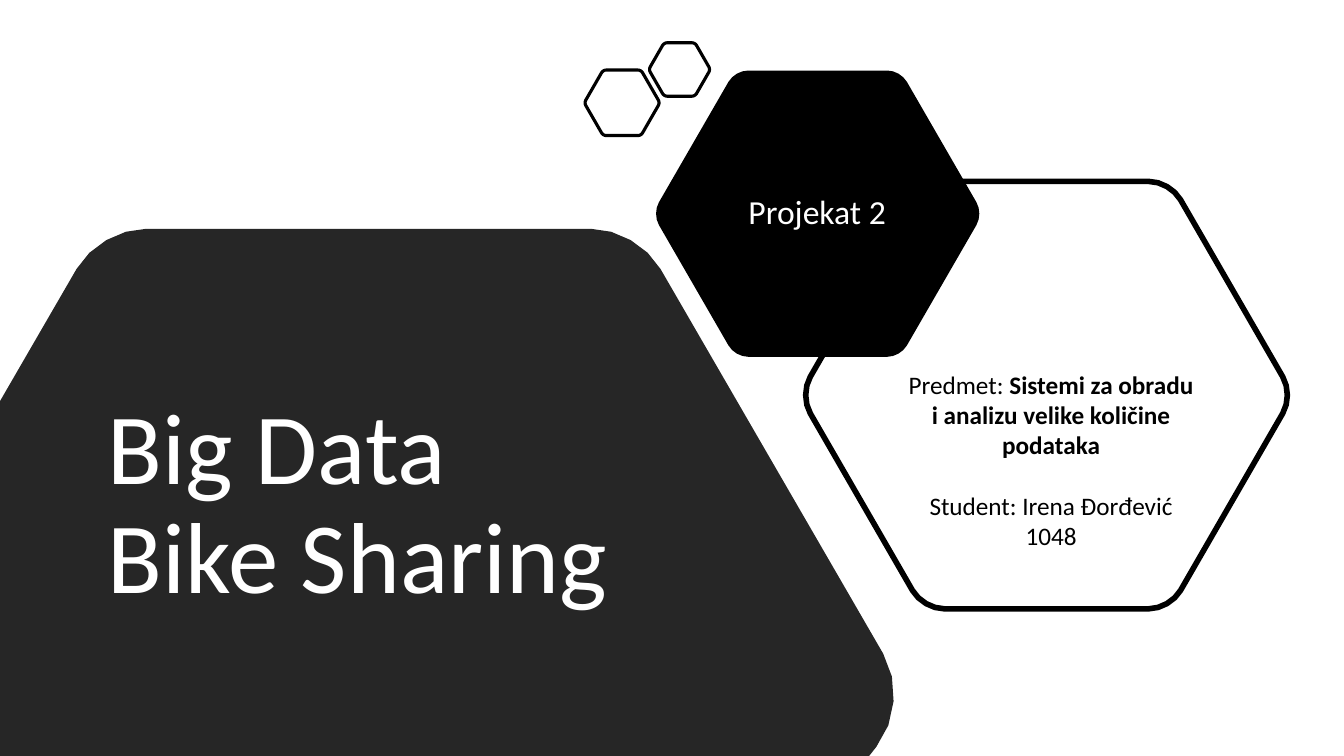
from dataclasses import dataclass
from math import cos, pi, sin, sqrt
from typing import Optional

from pptx import Presentation
from pptx.dml.color import RGBColor
from pptx.enum.text import MSO_ANCHOR as Anchor, PP_ALIGN as Align
from pptx.slide import Slide
from pptx.util import Inches, Pt

BLACK = RGBColor(0x00, 0x00, 0x00)
CHARCOAL = RGBColor(0x26, 0x26, 0x26)
WHITE = RGBColor(0xFF, 0xFF, 0xFF)
FONT = "Calibri"
CURVE_STEPS = 4
CURVE_TENSION = 0.58  # how far the curve handles reach towards the sharp corner


@dataclass(frozen=True)
class Corner:
    x: float
    y: float
    trim: float = 0  # length cut from both edges to round the corner


@dataclass(frozen=True)
class Hexagon:
    center_x: float
    center_y: float
    height: float
    trim: float
    fill: Optional[RGBColor] = None
    line_width: float = 0

    def corners(self) -> list[Corner]:
        side = self.height / sqrt(3)
        return [Corner(self.center_x + side * cos(turn * pi / 3),
                       self.center_y + side * sin(turn * pi / 3), self.trim)
                for turn in range(6)]


@dataclass(frozen=True)
class Span:
    text: str
    bold: bool = False


DETAILS_HEXAGON = Hexagon(10.38, 3.92, 4.24, 0.21, line_width=4)
SUBTITLE_HEXAGON = Hexagon(8.11, 2.12, 2.84, 0.13, fill=BLACK)
SMALL_HEXAGONS = [
    Hexagon(6.17, 1.02, 0.65, 0.03, line_width=2.25),
    Hexagon(6.74, 0.69, 0.53, 0.03, line_width=2.25),
]
TITLE_PANEL = [
    Corner(0, 7.5), Corner(0, 3.98), Corner(0.99, 2.27, 0.46),
    Corner(6.32, 2.27, 0.46), Corner(9.04, 6.97, 0.56), Corner(8.62, 7.5),
]


def towards(start: Corner, end: Corner, length: float) -> Corner:
    """Return the point at a given length from start on the way to end."""
    distance = sqrt((end.x - start.x) ** 2 + (end.y - start.y) ** 2)
    share = length / distance
    return Corner(start.x + (end.x - start.x) * share,
                  start.y + (end.y - start.y) * share)


def rounded_outline(corners: list[Corner]) -> list[tuple[int, int]]:
    """Replace each trimmed corner by points on a cubic curve."""
    points = []
    for index, corner in enumerate(corners):
        if not corner.trim:
            points.append((Inches(corner.x), Inches(corner.y)))
            continue
        neighbours = corners[index - 1], corners[(index + 1) % len(corners)]
        handle = corner.trim * (1 - CURVE_TENSION)
        before, after = (towards(corner, other, corner.trim) for other in neighbours)
        leave, arrive = (towards(corner, other, handle) for other in neighbours)
        for step in range(CURVE_STEPS + 1):
            t = step / CURVE_STEPS
            weights = (1 - t) ** 3, 3 * t * (1 - t) ** 2, 3 * t * t * (1 - t), t ** 3
            curve = list(zip(weights, (before, leave, arrive, after)))
            points.append((Inches(sum(weight * point.x for weight, point in curve)),
                           Inches(sum(weight * point.y for weight, point in curve))))
    return points


def add_outline(page: Slide, corners: list[Corner],
                fill: Optional[RGBColor] = None, line_width: float = 0) -> None:
    first, *others = rounded_outline(corners)
    builder = page.shapes.build_freeform(*first)
    builder.add_line_segments(others, close=True)
    shape = builder.convert_to_shape()
    shape.shadow.inherit = False
    if fill is None:
        shape.fill.background()
    else:
        shape.fill.solid()
        shape.fill.fore_color.rgb = fill
    if line_width:
        shape.line.color.rgb = BLACK
        shape.line.width = Pt(line_width)
    else:
        shape.line.fill.background()


def add_hexagon(page: Slide, hexagon: Hexagon) -> None:
    add_outline(page, hexagon.corners(), hexagon.fill, hexagon.line_width)


def add_text(page: Slide, paragraphs: list[list[Span]], *,
             left: float, top: float, width: float, height: float,
             size: float, color: RGBColor, align: Align = Align.LEFT,
             anchor: Anchor = Anchor.MIDDLE, line_spacing: float = 1.0,
             gap: float = 0) -> None:
    """Add a text box; a newline in a span becomes a line break."""
    box = page.shapes.add_textbox(Inches(left), Inches(top), Inches(width), Inches(height))
    frame = box.text_frame
    frame.word_wrap = True
    frame.vertical_anchor = anchor
    for index, spans in enumerate(paragraphs):
        para = frame.add_paragraph() if index else frame.paragraphs[0]
        para.alignment = align
        para.line_spacing = line_spacing
        para.space_before = Pt(gap if index else 0)
        for span in spans:
            for number, text in enumerate(span.text.split("\n")):
                if number:
                    para.add_line_break()
                run = para.add_run()
                run.text = text
                run.font.name = FONT
                run.font.size = Pt(size)
                run.font.bold = span.bold
                run.font.color.rgb = color


def main() -> None:
    deck = Presentation()
    deck.slide_width, deck.slide_height = Inches(13.33), Inches(7.5)
    page = deck.slides.add_slide(deck.slide_layouts[6])

    add_hexagon(page, DETAILS_HEXAGON)
    add_hexagon(page, SUBTITLE_HEXAGON)
    add_outline(page, TITLE_PANEL, fill=CHARCOAL)

    add_text(page, [[Span("Big Data\nBike Sharing")]],
             left=0.97, top=3.24, width=5.6, height=3.57,
             size=72, color=WHITE, line_spacing=0.9)
    add_text(page, [[Span("Projekat 2")]],
             left=6.89, top=1.46, width=2.43, height=1.31,
             size=24, color=WHITE, align=Align.CENTER, line_spacing=0.9)

    for hexagon in SMALL_HEXAGONS:
        add_hexagon(page, hexagon)

    subject = [Span("Predmet: "),
               Span("Sistemi za obradu i analizu velike količine podataka", bold=True)]
    add_text(page, [subject, [Span("Student: Irena Đorđević 1048")]],
             left=8.9, top=3.61, width=3.05, height=1.92,
             size=18, color=BLACK, align=Align.CENTER, anchor=Anchor.TOP, gap=22)
    deck.save("out.pptx")


if __name__ == "__main__":
    main()
